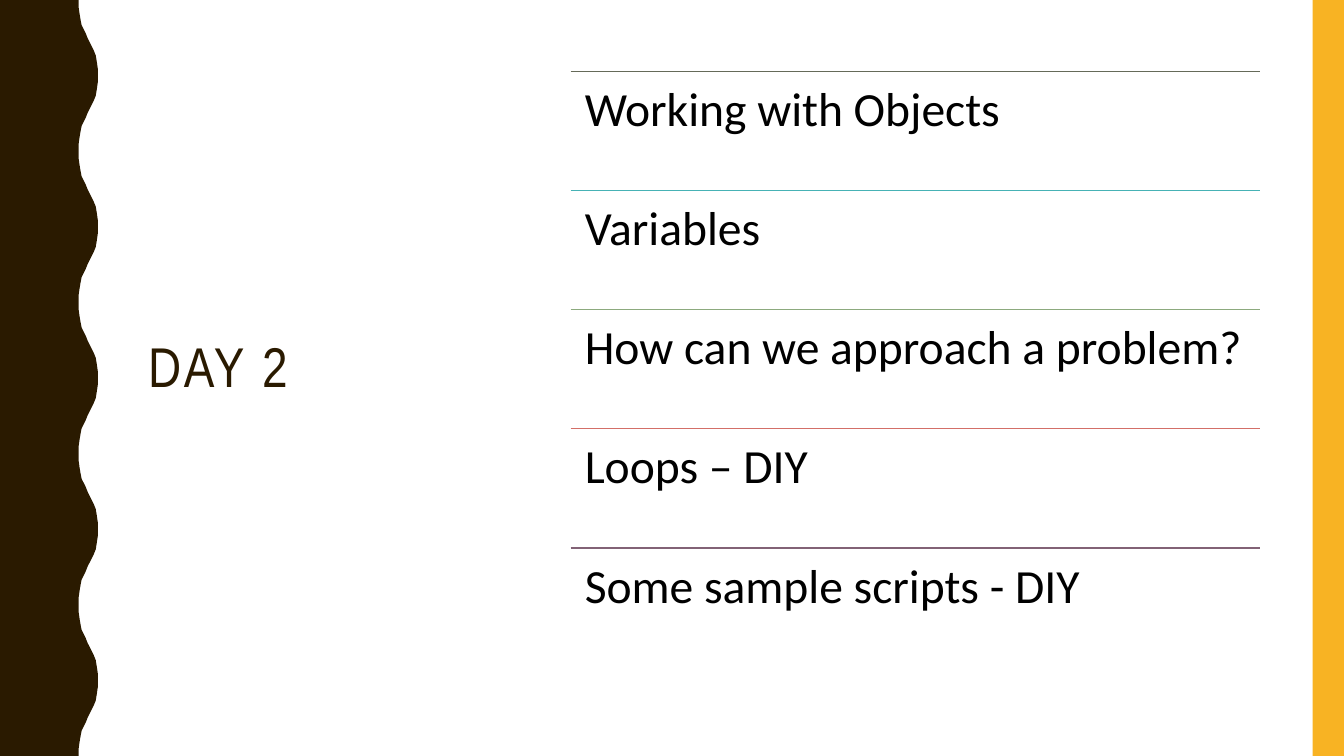
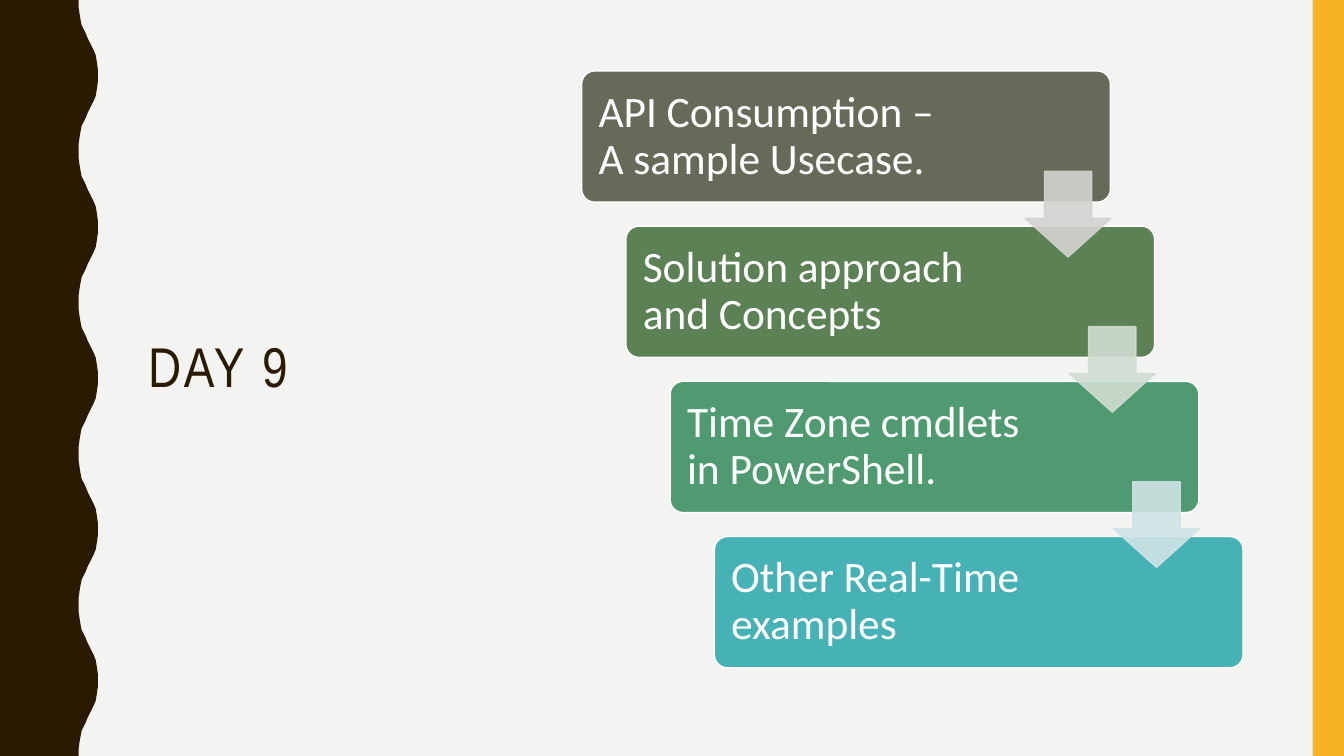
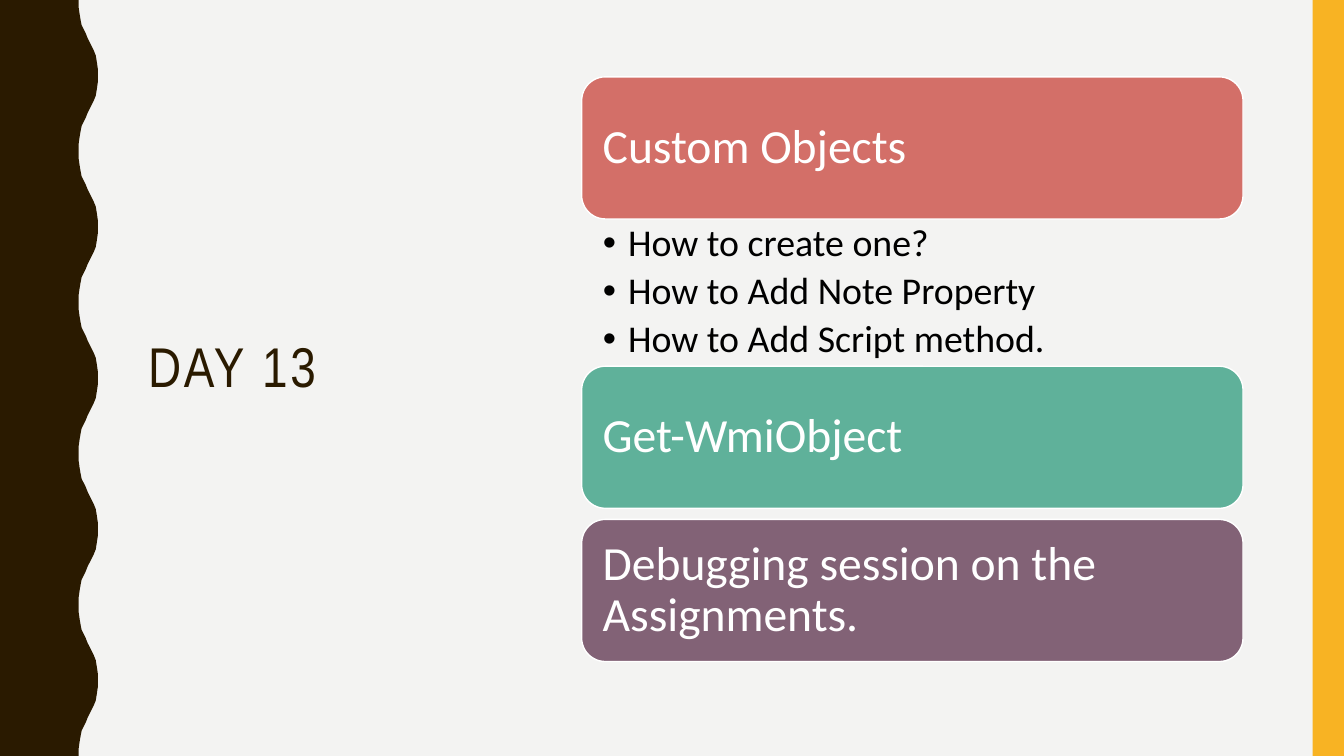
import lxml.etree
import pptx
import pptx.dml.color
import pptx.enum.shapes
import pptx.enum.text
import pptx.oxml.ns
import pptx.util

RGB = pptx.dml.color.RGBColor
SHAPE = pptx.enum.shapes.MSO_SHAPE
ANCHOR = pptx.enum.text.MSO_ANCHOR
qn = pptx.oxml.ns.qn

WHITE = RGB(0xFF, 0xFF, 0xFF)
BLACK = RGB(0x00, 0x00, 0x00)
PALE = RGB(0xF3, 0xF3, 0xF2)
BROWN = RGB(0x2A, 0x1A, 0x00)
GOLD = RGB(0xF8, 0xB3, 0x23)
OLIVE = RGB(0x65, 0x6A, 0x59)
TEAL = RGB(0x46, 0xB2, 0xB5)
SAGE = RGB(0x8C, 0xAA, 0x7E)
CORAL = RGB(0xD3, 0x6F, 0x68)
PLUM = RGB(0x82, 0x62, 0x76)
MOSS = RGB(0x5B, 0x81, 0x55)
GREEN = RGB(0x4F, 0x9A, 0x70)
MINT = RGB(0x5F, 0xB1, 0x9A)
ARROW_GREY = RGB(0xD3, 0xD4, 0xD1)
ARROW_GREEN = RGB(0xD0, 0xDD, 0xD2)
ARROW_TEAL = RGB(0xCF, 0xE4, 0xE5)

TITLE_FONT = "Arial Narrow"
BODY_FONT = "Calibri"

# Half a wave of the left band, (x, y) in hundredths of an inch
HALF_WAVE = [(78, 0), (78, 7), (79, 14), (80, 20), (81, 25), (83, 29), (85, 33),
             (87, 38), (89, 42), (91, 46), (93, 50), (95, 55), (96, 61), (97, 68),
             (97, 75)]
WAVE_HEIGHT = 150
WAVE_COUNT = 5

# Content column, in percent of the slide
LEFT, WIDTH = 43.28, 49.21


class Deck:
    """Shared style and the current slide; positions are percent of the slide."""

    def __init__(self):
        """Start a widescreen presentation."""
        self.prs = pptx.Presentation()
        self.prs.slide_width = pptx.util.Inches(13.33)
        self.prs.slide_height = pptx.util.Inches(7.5)
        self.s = None

    def x(self, share):
        """Turn a percentage of the slide width into a length."""
        return pptx.util.Emu(round(self.prs.slide_width * share / 100))

    def y(self, share):
        """Turn a percentage of the slide height into a length."""
        return pptx.util.Emu(round(self.prs.slide_height * share / 100))

    def box(self, left, top, width, height):
        """Turn four percentages into a position and a size."""
        return self.x(left), self.y(top), self.x(width), self.y(height)

    def slide(self, title, background):
        """Add a slide with its bands and title."""
        self.s = self.prs.slides.add_slide(self.prs.slide_layouts[6])
        self.s.background.fill.solid()
        self.s.background.fill.fore_color.rgb = background
        self.wave_band()
        self.shape(SHAPE.RECTANGLE, (97.67, 0, 2.33, 100), GOLD)
        self.text((10.28, 9.4, 27.76, 79), [title], 40, BROWN, font=TITLE_FONT,
                  anchor=ANCHOR.MIDDLE, insets=(0.1, 0.05, 0.1, 0.05), spacing=2)

    def wave_band(self):
        """Draw the band with the wavy edge at the left."""
        wave = HALF_WAVE + [(x, WAVE_HEIGHT - y) for x, y in HALF_WAVE[-2::-1]]
        edge = [(x, y + i * WAVE_HEIGHT) for i in range(WAVE_COUNT) for x, y in wave]
        builder = self.s.shapes.build_freeform(0, 0, scale=pptx.util.Inches(0.01))
        builder.add_line_segments(edge + [(0, WAVE_COUNT * WAVE_HEIGHT)], close=True)
        self.paint(builder.convert_to_shape(), BROWN)

    def paint(self, sp, fill, line=None):
        """Give a shape a plain fill and an optional one-point outline."""
        sp.shadow.inherit = False
        sp.fill.solid()
        sp.fill.fore_color.rgb = fill
        if line is None:
            sp.line.fill.background()
        else:
            sp.line.color.rgb = line
            sp.line.width = pptx.util.Pt(1)

    def shape(self, kind, area, fill, line=None, adjust=()):
        """Add a preset shape."""
        sp = self.s.shapes.add_shape(kind, *self.box(*area))
        for i, value in enumerate(adjust):
            sp.adjustments[i] = value
        self.paint(sp, fill, line)
        return sp

    def rule(self, left, top, width, color):
        """Add a thin horizontal line."""
        line = self.s.shapes.add_connector(
            pptx.enum.shapes.MSO_CONNECTOR.STRAIGHT,
            self.x(left), self.y(top), self.x(left + width), self.y(top))
        line.line.color.rgb = color
        line.line.width = pptx.util.Pt(1)
        lxml.etree.SubElement(line._element.spPr, qn("a:effectLst"))

    def set_text(self, sp, lines, size, color, font=BODY_FONT, anchor=ANCHOR.TOP,
                 insets=(0.14,) * 4, spacing=0, bullets=False):
        """Fill the text frame of a shape, one paragraph per line."""
        tf = sp.text_frame
        tf.word_wrap = True
        tf.vertical_anchor = anchor
        (tf.margin_left, tf.margin_top,
         tf.margin_right, tf.margin_bottom) = map(pptx.util.Inches, insets)
        for i, line in enumerate(lines):
            p = tf.add_paragraph() if i else tf.paragraphs[0]
            p.alignment = pptx.enum.text.PP_ALIGN.LEFT
            p.line_spacing = 0.9
            r = p.add_run()
            r.text = line
            r.font.name = font
            r.font.size = pptx.util.Pt(size)
            r.font.color.rgb = color
            if spacing:
                r._r.get_or_add_rPr().set("spc", str(spacing * 100))
            if bullets:
                self.bullet(p)

    def bullet(self, p):
        """Give a paragraph a round bullet and a hanging indent."""
        p.space_after = pptx.util.Pt(5)
        indent = pptx.util.Inches(0.25)
        pPr = p._p.get_or_add_pPr()
        pPr.set("marL", str(indent))
        pPr.set("indent", str(-indent))
        lxml.etree.SubElement(pPr, qn("a:buFont")).set("typeface", "Arial")
        lxml.etree.SubElement(pPr, qn("a:buChar")).set("char", "•")

    def text(self, area, lines, size, color, **style):
        """Add a text box."""
        sp = self.s.shapes.add_textbox(*self.box(*area))
        self.set_text(sp, lines, size, color, **style)

    def card(self, area, label, size, fill, insets, radius):
        """Add a rounded card with white text."""
        sp = self.shape(SHAPE.ROUNDED_RECTANGLE, area, fill, WHITE, [radius])
        self.set_text(sp, [label], size, WHITE, anchor=ANCHOR.MIDDLE, insets=insets)

    def arrow(self, area, color):
        """Add a slightly transparent down arrow."""
        sp = self.shape(SHAPE.DOWN_ARROW, area, color, color, [0.55, 0.45])
        for clr in sp._element.spPr.iter(qn("a:srgbClr")):
            lxml.etree.SubElement(clr, qn("a:alpha")).set("val", "90000")


def day_2(deck):
    """Build the ruled list of topics."""
    deck.slide("DAY 2", WHITE)
    left, top, width, row = 42.46, 9.43, 51.31, 15.76
    topics = [("Working with Objects", OLIVE), ("Variables", TEAL),
              ("How can we approach a problem?", SAGE), ("Loops – DIY", CORAL),
              ("Some sample scripts - DIY", PLUM)]
    for i, (topic, color) in enumerate(topics):
        y = top + i * row
        deck.rule(left, y, width, color)
        deck.text((left, y, width, row), [topic], 34, BLACK)


def day_9(deck):
    """Build the staircase of cards joined by arrows."""
    deck.slide("DAY 9", PALE)
    top, step_x, step_y = 9.38, 3.29, 20.53
    steps = [("API Consumption – A sample Usecase.", OLIVE),
             ("Solution approach and Concepts", MOSS),
             ("Time Zone cmdlets in PowerShell.", GREEN),
             ("Other Real-Time examples", TEAL)]
    for i, (label, color) in enumerate(steps):
        deck.card((LEFT + i * step_x, top + i * step_y, 39.34, 17.36), label, 31,
                  color, insets=(0.13, 0.13, 1.56, 0.13), radius=0.1)
    for i, color in enumerate([ARROW_GREY, ARROW_GREEN, ARROW_TEAL]):
        deck.arrow((LEFT + 33 + i * step_x, top + 13.29 + i * step_y, 6.38, 11.33),
                   color)


def day_13(deck):
    """Build the stacked cards with a bullet list under the first."""
    deck.slide("DAY 13", PALE)
    y, height, list_height, gap = 10.17, 18.8, 19.47, 1.47
    cards = [("Custom Objects", CORAL,
              ["How to create one?", "How to Add Note Property",
               "How to Add Script method."]),
             ("Get-WmiObject", MINT, []),
             ("Debugging session on the Assignments.", PLUM, [])]
    for label, color, points in cards:
        deck.card((LEFT, y, WIDTH, height), label, 34, color,
                  insets=(0.14,) * 4, radius=1 / 6)
        y += height
        if points:
            deck.text((LEFT, y, WIDTH, list_height), points, 27, BLACK,
                      insets=(0.21, 0.05, 0.26, 0.05), bullets=True)
        y += list_height if points else gap


deck = Deck()
day_2(deck)
day_9(deck)
day_13(deck)
deck.prs.save("out.pptx")
